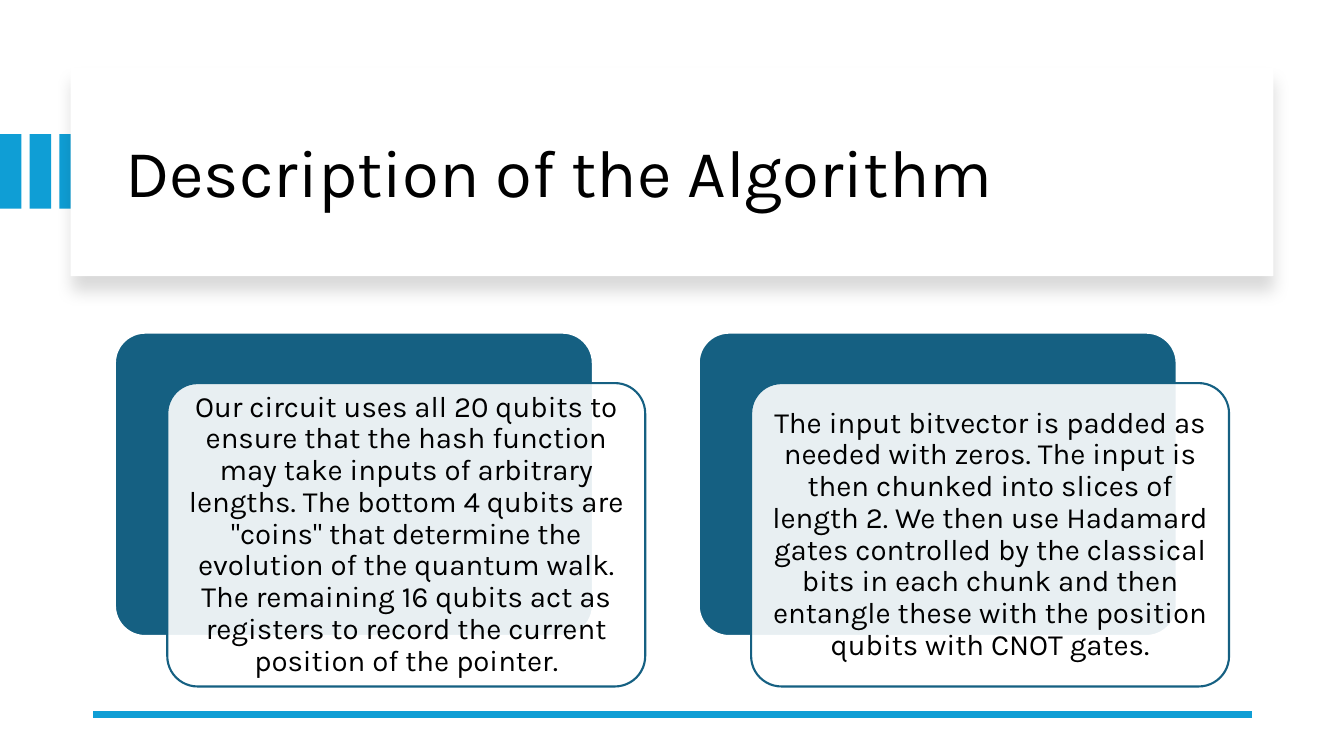
"""Build the slide that describes the algorithm in two layered cards."""
import dataclasses

import lxml.etree
import pptx
import pptx.dml.color
import pptx.enum.shapes
import pptx.enum.text
import pptx.oxml.ns
import pptx.shapes.autoshape
import pptx.shapes.base
import pptx.slide
import pptx.text.text
import pptx.util

WIDTH = pptx.util.Inches(13.33)
HEIGHT = pptx.util.Inches(7.5)
FONT = "Karla"
HUES = {"sky": "0F9ED5", "teal": "156082", "white": "FFFFFF", "black": "000000"}
KINDS = pptx.enum.shapes.MSO_SHAPE
ALIGN = pptx.enum.text.PP_ALIGN


@dataclasses.dataclass(frozen=True)
class Box:
    left: float
    top: float
    width: float
    height: float

    def shift(self, right: float, down: float) -> "Box":
        return dataclasses.replace(self, left=self.left + right, top=self.top + down)

    def frame(self) -> tuple[int, int, int, int]:
        return (across(self.left), down(self.top), across(self.width), down(self.height))


@dataclasses.dataclass(frozen=True)
class Card:
    column: int
    text: str


BAR = Box(0, 17.73, 1.6, 9.87)
BAR_STEP = 2.21
PANEL = Box(5.25, 8.93, 89.5, 27.6)
TITLE = Box(8.55, 11.87, 83.5, 22.67)
BACK = Box(8.55, 44, 35.56, 40.13)
WORDS = Box(13.13, 51.87, 34.2, 37.73)
CARD_STEP = 43.44
CARDS = [
    Card(0, "Our circuit uses all 20 qubits to ensure that the hash function may take "
            "inputs of arbitrary lengths. The bottom 4 qubits are \"coins\" that determine "
            "the evolution of the quantum walk. The remaining 16 qubits act as registers "
            "to record the current position of the pointer."),
    Card(1, "The input bitvector is padded as needed with zeros. The input is then chunked "
            "into slices of length 2. We then use Hadamard gates controlled by the "
            "classical bits in each chunk and then entangle these with the position "
            "qubits with CNOT gates."),
]


def across(share: float) -> int:
    return round(WIDTH * share / 100)


def down(share: float) -> int:
    return round(HEIGHT * share / 100)


def color(name: str) -> pptx.dml.color.RGBColor:
    return pptx.dml.color.RGBColor.from_string(HUES[name])


def add(parent: lxml.etree._Element, tag: str, **attrs: str) -> lxml.etree._Element:
    return lxml.etree.SubElement(parent, pptx.oxml.ns.qn(tag), attrs)


def draw(slide: pptx.slide.Slide, kind: KINDS, box: Box, fill: str,
         edge: str = "") -> pptx.shapes.autoshape.Shape:
    shape = slide.shapes.add_shape(kind, *box.frame())
    shape.shadow.inherit = False
    shape.fill.solid()
    shape.fill.fore_color.rgb = color(fill)
    if edge:
        shape.line.color.rgb = color(edge)
        shape.line.width = pptx.util.Pt(1.5)
    else:
        shape.line.fill.background()
    if kind == KINDS.ROUNDED_RECTANGLE:
        shape.adjustments[0] = 0.1
    return shape


def write(frame: pptx.text.text.TextFrame, text: str, size: int, align: ALIGN) -> None:
    frame.text = text
    frame.word_wrap = True
    frame.auto_size = pptx.enum.text.MSO_AUTO_SIZE.NONE
    frame.vertical_anchor = pptx.enum.text.MSO_ANCHOR.MIDDLE
    line = frame.paragraphs[0]
    line.alignment = align
    line.line_spacing = 0.9
    font = line.runs[0].font
    font.name = FONT
    font.size = pptx.util.Pt(size)
    font.color.rgb = color("black")


def draw_panel(slide: pptx.slide.Slide) -> None:
    panel = draw(slide, KINDS.RECTANGLE, PANEL, "white")
    glow = panel.element.spPr.find(pptx.oxml.ns.qn("a:effectLst"))
    shade = add(glow, "a:outerShdw", blurRad=str(pptx.util.Pt(11)),
                dist=str(pptx.util.Pt(10)), dir="5400000", algn="t", rotWithShape="0")
    add(add(shade, "a:srgbClr", val=HUES["black"]), "a:alpha", val="15000")


def draw_title(slide: pptx.slide.Slide) -> None:
    title = slide.shapes.title
    title.left, title.top, title.width, title.height = TITLE.frame()
    write(title.text_frame, "Description of the Algorithm", 48, ALIGN.LEFT)
    title.element.getparent().append(title.element)


def draw_rule(slide: pptx.slide.Slide) -> None:
    rule = slide.shapes.add_connector(pptx.enum.shapes.MSO_CONNECTOR.STRAIGHT,
                                      across(93.17), down(94.53), across(6.9), down(94.53))
    rule.line.color.rgb = color("sky")
    rule.line.width = pptx.util.Pt(4.5)
    add(rule.element.spPr, "a:effectLst")


def draw_card(slide: pptx.slide.Slide, card: Card) -> None:
    back = BACK.shift(card.column * CARD_STEP, 0)
    draw(slide, KINDS.ROUNDED_RECTANGLE, back, "teal", "white")
    front = draw(slide, KINDS.ROUNDED_RECTANGLE, back.shift(3.9, 6.67), "white", "teal")
    tint = front.element.spPr.find(pptx.oxml.ns.qn("a:solidFill"))[0]
    add(tint, "a:alpha", val="90000")
    words = WORDS.shift(card.column * CARD_STEP, 0)
    frame = slide.shapes.add_textbox(*words.frame()).text_frame
    inset = pptx.util.Inches(0.09)
    frame.margin_left = frame.margin_right = inset
    frame.margin_top = frame.margin_bottom = inset
    write(frame, card.text, 21, ALIGN.CENTER)


def main() -> None:
    deck = pptx.Presentation()
    deck.slide_width, deck.slide_height = WIDTH, HEIGHT
    slide = deck.slides.add_slide(deck.slide_layouts.get_by_name("Title Only"))
    for index in range(3):
        draw(slide, KINDS.RECTANGLE, BAR.shift(index * BAR_STEP, 0), "sky")
    draw_panel(slide)
    draw_title(slide)
    draw_rule(slide)
    for card in CARDS:
        draw_card(slide, card)
    deck.save("out.pptx")


if __name__ == "__main__":
    main()
